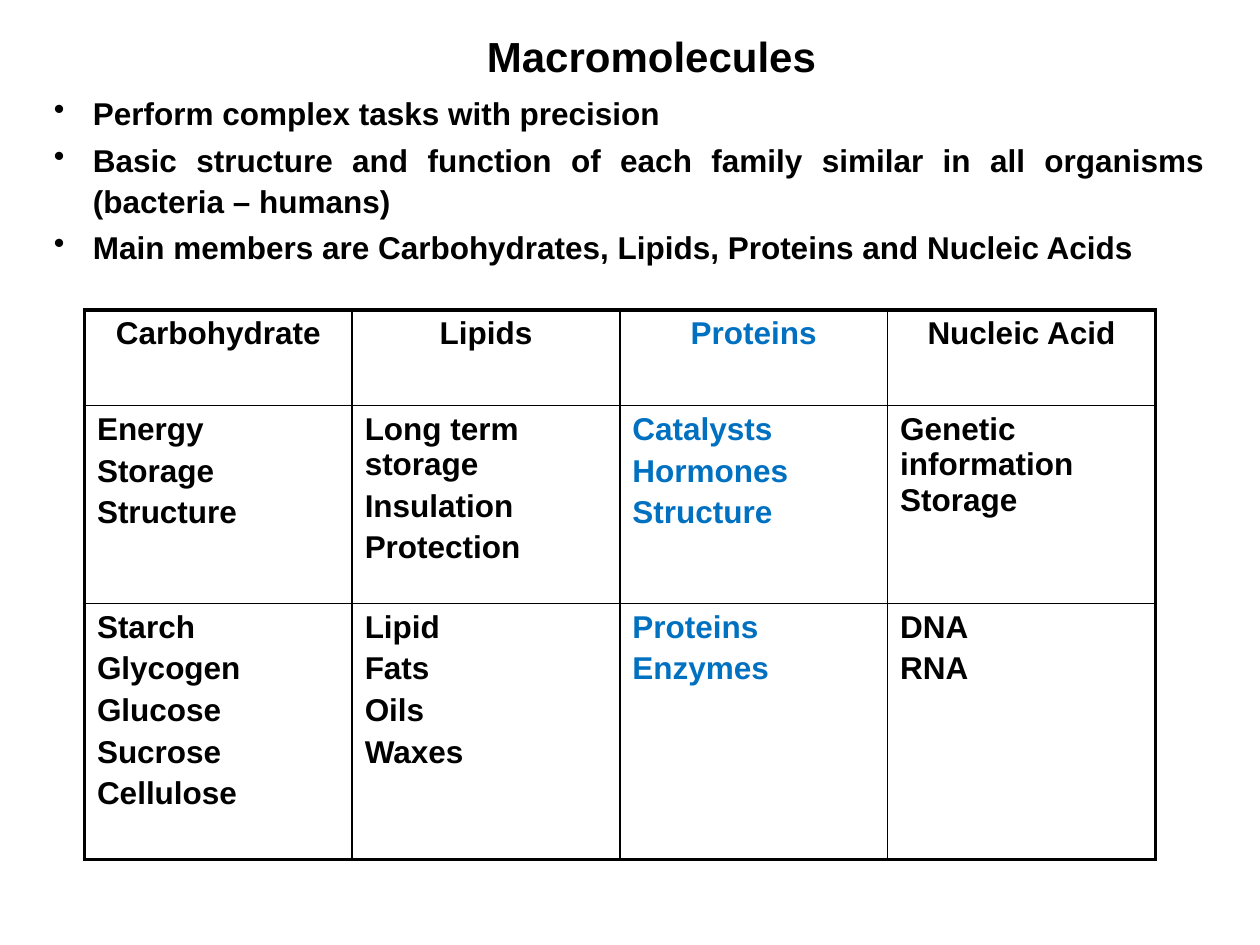
from dataclasses import dataclass

from lxml import etree
from pptx import Presentation, util as u
from pptx.dml.color import RGBColor
from pptx.enum import text
from pptx.oxml.ns import qn

INK = {"black": "000000", "blue": "0070C0"}
GAP = u.Pt(3.6)  # a fifth of the body size
THIN, THICK = 1, 2.25
ALIGN = text.PP_ALIGN


@dataclass
class Column:
    head: str
    uses: list[str]
    kinds: list[str]
    ink: str = "black"


TITLE = "Macromolecules"
POINTS = [
    "Perform complex tasks with precision",
    "Basic structure and function of each family similar in all organisms "
    "(bacteria – humans)",
    "Main members are Carbohydrates, Lipids, Proteins and Nucleic Acids",
]
COLUMNS = [
    Column("Carbohydrate", ["Energy", "Storage", "Structure"],
           ["Starch", "Glycogen", "Glucose", "Sucrose", "Cellulose"]),
    Column("Lipids", ["Long term storage", "Insulation", "Protection"],
           ["Lipid", "Fats", "Oils", "Waxes"]),
    Column("Proteins", ["Catalysts", "Hormones", "Structure"],
           ["Proteins", "Enzymes"], "blue"),
    Column("Nucleic Acid", ["Genetic information Storage"], ["DNA", "RNA"]),
]
HEIGHTS = [0.76, 1.57, 2.03]


def write(frame, lines: list[str], size: float = 18, ink: str = "black",
          align=ALIGN.LEFT, gap: int = GAP) -> None:
    """Fill a text frame with one bold paragraph per line."""
    frame.word_wrap = True
    for i, line in enumerate(lines):
        para = frame.paragraphs[0] if i == 0 else frame.add_paragraph()
        para.text = line
        para.alignment = align
        para.space_before = gap
        font = para.font
        font.name, font.size, font.bold = "Arial", u.Pt(size), True
        font.color.rgb = RGBColor.from_string(INK[ink])


def add_box(slide, left: float, top: float, width: float, height: float):
    box = slide.shapes.add_textbox(*map(u.Inches, (left, top, width, height)))
    return box.text_frame


def add_bullet(para) -> None:
    props = para._p.get_or_add_pPr()
    props.set("marL", str(u.Inches(0.31)))
    props.set("indent", str(u.Inches(-0.31)))
    etree.SubElement(props, qn("a:buChar"), char="•")


def set_edges(cell, edges: dict[str, float]) -> None:
    """Draw the cell borders; they must come before the fill."""
    props = cell._tc.get_or_add_tcPr()
    for i, (side, width) in enumerate(edges.items()):
        line = etree.Element(qn(f"a:ln{side}"), w=str(u.Pt(width)))
        fill = etree.SubElement(line, qn("a:solidFill"))
        etree.SubElement(fill, qn("a:srgbClr"), val=INK["black"])
        props.insert(i, line)


def add_grid(slide) -> None:
    rows, cols = len(HEIGHTS), len(COLUMNS)
    frame = slide.shapes.add_table(rows, cols, u.Inches(0.67), u.Inches(2.46),
                                   u.Inches(8.5), u.Inches(sum(HEIGHTS)))
    table = frame.table
    table.first_row = table.horz_banding = False
    for row, height in zip(table.rows, HEIGHTS):
        row.height = u.Inches(height)
    for c, col in enumerate(COLUMNS):
        for r, lines in enumerate([[col.head], col.uses, col.kinds]):
            cell = table.cell(r, c)
            cell.fill.background()
            align = ALIGN.CENTER if r == 0 else ALIGN.LEFT
            write(cell.text_frame, lines, ink=col.ink, align=align)
            outer = {"L": c == 0, "R": c == cols - 1,
                     "T": r == 0, "B": r == rows - 1}
            set_edges(cell, {side: THICK if out else THIN
                             for side, out in outer.items()})


def main() -> None:
    deck = Presentation()
    deck.slide_width, deck.slide_height = u.Inches(10), u.Inches(7.5)
    slide = deck.slides.add_slide(deck.slide_layouts[6])

    # Title
    title = add_box(slide, 0.67, 0.19, 9, 1.25)
    write(title, [TITLE], size=24, align=ALIGN.CENTER, gap=0)

    # Bullet points
    points = add_box(slide, 0.33, 0.68, 9.33, 2.27)
    write(points, POINTS, align=ALIGN.JUSTIFY)
    for para in points.paragraphs:
        para.line_spacing = 1.07
        add_bullet(para)

    # Table of families
    add_grid(slide)
    deck.save("out.pptx")


if __name__ == "__main__":
    main()
